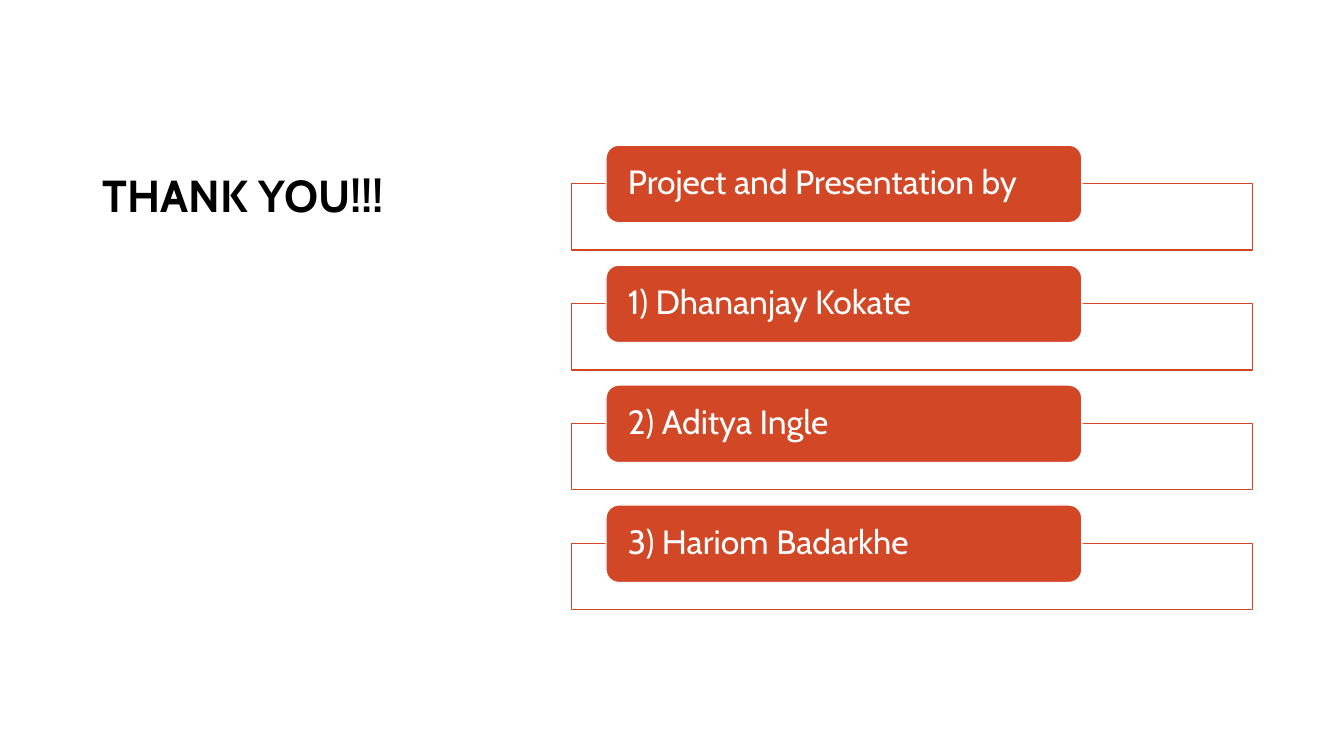
from pptx import Presentation
from pptx.dml.color import RGBColor
from pptx.enum.shapes import MSO_SHAPE
from pptx.enum.text import MSO_ANCHOR, MSO_AUTO_SIZE, PP_ALIGN
from pptx.util import Inches, Pt

RECTANGLE = MSO_SHAPE.RECTANGLE
ROUNDED = MSO_SHAPE.ROUNDED_RECTANGLE
LEFT = PP_ALIGN.LEFT
MIDDLE = MSO_ANCHOR.MIDDLE
BOTTOM = MSO_ANCHOR.BOTTOM
NO_AUTOFIT = MSO_AUTO_SIZE.NONE

TITLE_ONLY = 5
FONT = "Cabin"
ORANGE = "D24726"
WHITE = "FFFFFF"
BLACK = "000000"
ROW_STEP = 1.19
ROWS = [
    "Project and Presentation by",
    "1) Dhananjay Kokate",
    "2) Aditya Ingle",
    "3) Hariom Badarkhe",
]


def color(value):
    return RGBColor.from_string(value)


def write_text(box, text, *, size, ink, anchor, bold=False, space_after=0):
    frame = box.text_frame
    frame.word_wrap = True
    frame.auto_size = NO_AUTOFIT
    frame.vertical_anchor = anchor
    para = frame.paragraphs[0]
    para.alignment = LEFT
    para.line_spacing = 0.9
    para.space_after = Pt(space_after)
    span = para.add_run()
    span.text = text
    span.font.name = FONT
    span.font.size = Pt(size)
    span.font.bold = bold
    span.font.color.rgb = color(ink)


def add_title(page, text):
    title = page.shapes.title
    title.left, title.top = Inches(0.92), Inches(0.5)
    title.width, title.height = Inches(4.3), Inches(1.75)
    write_text(title, text, size=32, ink=BLACK, anchor=BOTTOM, bold=True, space_after=6)


def add_box(page, kind, left, top, width, height, *, fill, line):
    box = page.shapes.add_shape(
        kind, Inches(left), Inches(top), Inches(width), Inches(height)
    )
    box.shadow.inherit = False
    box.fill.solid()
    box.fill.fore_color.rgb = color(fill)
    box.line.color.rgb = color(line)
    box.line.width = Pt(1)
    return box


def add_row(page, top, text):
    add_box(page, RECTANGLE, 5.67, top + 0.38, 6.75, 0.66, fill=WHITE, line=ORANGE)
    label = add_box(page, ROUNDED, 6.01, top, 4.72, 0.77, fill=ORANGE, line=WHITE)
    frame = label.text_frame
    frame.margin_left = frame.margin_right = Inches(0.18)
    frame.margin_top = frame.margin_bottom = Inches(0)
    write_text(label, text, size=24, ink=WHITE, anchor=MIDDLE)


def main():
    deck = Presentation()
    deck.slide_width, deck.slide_height = Inches(13.33), Inches(7.5)
    page = deck.slides.add_slide(deck.slide_layouts[TITLE_ONLY])
    page.background.fill.solid()
    page.background.fill.fore_color.rgb = color(WHITE)
    add_title(page, "THANK YOU!!!")
    for index, text in enumerate(ROWS):
        add_row(page, 1.44 + index * ROW_STEP, text)
    deck.save("out.pptx")


if __name__ == "__main__":
    main()
